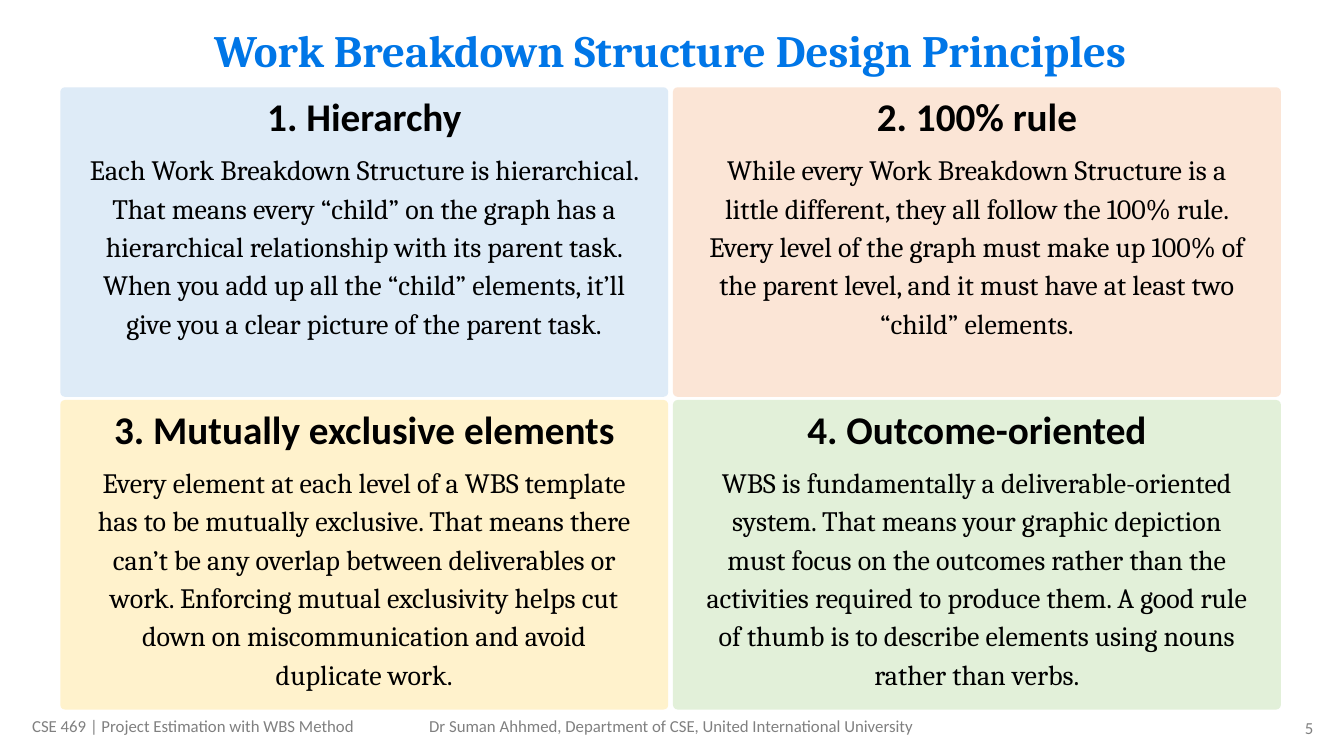
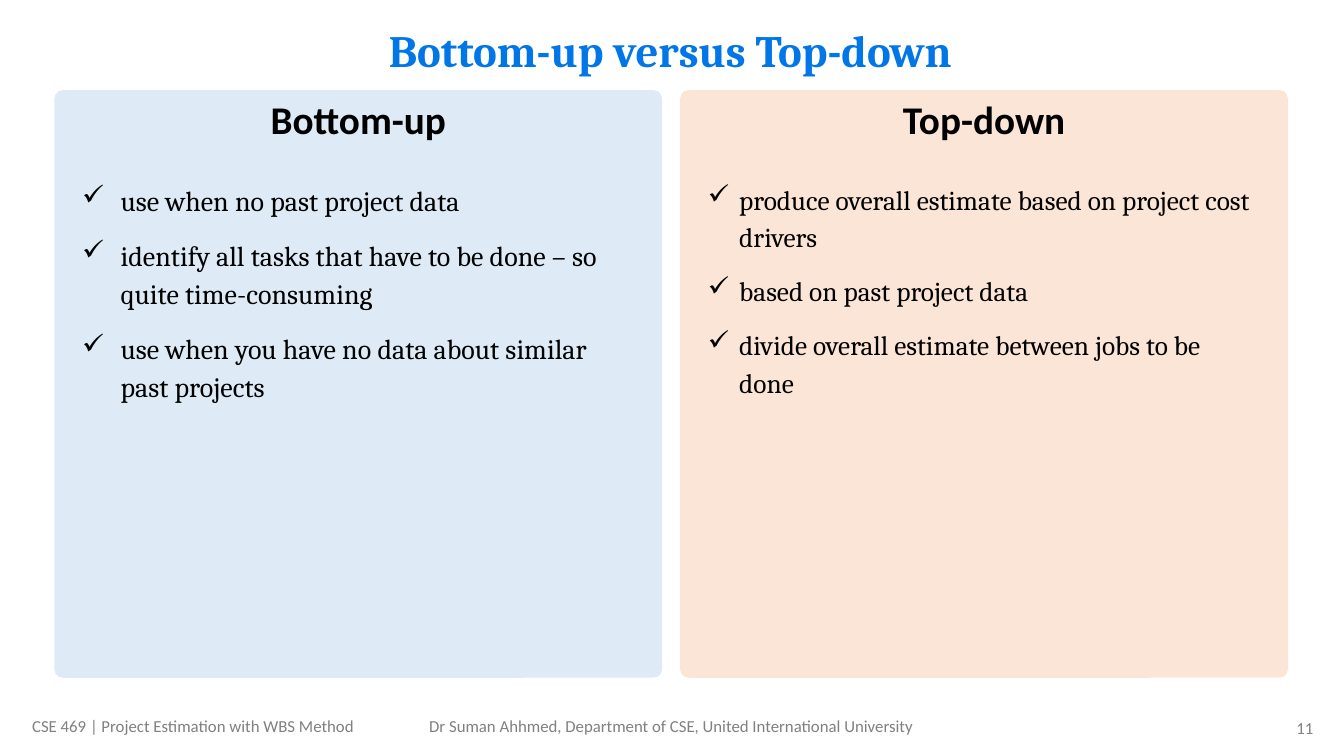
from lxml import etree
from pptx import Presentation
from pptx import util as u
from pptx.dml.color import RGBColor
from pptx.enum import shapes, text
from pptx.oxml import ns

COLORS = {
    "title": "0076E7", "ink": "000000", "footer": "808080",
    "blue": "DEEBF7", "orange": "FBE5D6", "yellow": "FFF2CC", "green": "E2F0D9",
}
HEADING_FONT, BODY_FONT = "Calibri", "Cambria"
LEFT, CENTER, RIGHT = text.PP_ALIGN.LEFT, text.PP_ALIGN.CENTER, text.PP_ALIGN.RIGHT
TOP, MIDDLE = text.MSO_ANCHOR.TOP, text.MSO_ANCHOR.MIDDLE
CARD_WIDTH, CARD_INSET, HEADING_HEIGHT = 15.32, 0.45, 1.42


class Deck:
    def __init__(self):
        self.prs = Presentation()
        self.prs.slide_width, self.prs.slide_height = u.Cm(33.87), u.Cm(19.05)
        self.slide = None

    def start(self, title, number):
        self.slide = self.prs.slides.add_slide(self.prs.slide_layouts[6])
        self.add_lines((1.37, 0.43, 31.06, 1.83), [title], 32, BODY_FONT, "title",
                       bold=True, spacing=0.9)
        footers = [
            ("Dr Suman Ahhmed, Department of CSE, United International University",
             (9.12, 17.91, 15.6, 0.76), CENTER),
            (str(number), (30.51, 17.96, 2.84, 0.76), RIGHT),
            ("CSE 469 | Project Estimation with WBS Method",
             (0.56, 17.91, 10.39, 0.76), LEFT),
        ]
        for footer, box, align in footers:
            self.add_lines(box, [footer], 12, HEADING_FONT, "footer", align)

    def add_lines(self, box, lines, size, font, color, align=CENTER, anchor=MIDDLE,
                  bold=False, spacing=1.0, gap=0, indent=0):
        frame = self.slide.shapes.add_textbox(*map(u.Cm, box)).text_frame
        frame.word_wrap = True
        frame.vertical_anchor = anchor
        for index, line in enumerate(lines):
            para = frame.add_paragraph() if index else frame.paragraphs[0]
            para.alignment = align
            para.line_spacing = spacing
            para.space_before = para.space_after = u.Pt(gap)
            if indent:
                self.add_check(para, indent)
            run = para.add_run()
            run.text = line
            run.font.size = u.Pt(size)
            run.font.name = font
            run.font.bold = bold
            run.font.color.rgb = RGBColor.from_string(COLORS[color])

    def add_check(self, para, indent):
        props = para._p.get_or_add_pPr()
        props.set("marL", str(u.Cm(indent)))
        props.set("indent", str(-u.Cm(indent)))
        tint = etree.SubElement(props, ns.qn("a:buClr"))
        etree.SubElement(tint, ns.qn("a:srgbClr")).set("val", COLORS["ink"])
        etree.SubElement(props, ns.qn("a:buChar")).set("char", "✓")

    def add_card(self, left, top, height, color, heading, lines, body_offset,
                 align=CENTER, size=20, indent=0):
        panel = self.slide.shapes.add_shape(
            shapes.MSO_SHAPE.ROUNDED_RECTANGLE,
            *map(u.Cm, (left, top, CARD_WIDTH, height)))
        panel.adjustments[0] = 0.015
        panel.shadow.inherit = False
        panel.fill.solid()
        panel.fill.fore_color.rgb = RGBColor.from_string(COLORS[color])
        panel.line.fill.background()
        inner_left, inner_width = left + CARD_INSET, CARD_WIDTH - 2 * CARD_INSET
        self.add_lines((inner_left, top + 0.02, inner_width, HEADING_HEIGHT), [heading],
                       28, HEADING_FONT, "ink", bold=True)
        self.add_lines((inner_left, top + body_offset, inner_width, height - body_offset),
                       lines, size, BODY_FONT, "ink", align, TOP,
                       spacing=1.14, gap=6, indent=indent)


PRINCIPLES = [
    ("blue", "1. Hierarchy",
     "Each Work Breakdown Structure is hierarchical. That means every “child” on the "
     "graph has a hierarchical relationship with its parent task. When you add up all "
     "the “child” elements, it’ll give you a clear picture of the parent task."),
    ("orange", "2. 100% rule",
     "While every Work Breakdown Structure is a little different, they all follow the "
     "100% rule. Every level of the graph must make up 100% of the parent level, and it "
     "must have at least two “child” elements."),
    ("yellow", "3. Mutually exclusive elements",
     "Every element at each level of a WBS template has to be mutually exclusive. That "
     "means there can’t be any overlap between deliverables or work. Enforcing mutual "
     "exclusivity helps cut down on miscommunication and avoid duplicate work."),
    ("green", "4. Outcome-oriented",
     "WBS is fundamentally a deliverable-oriented system. That means your graphic "
     "depiction must focus on the outcomes rather than the activities required to "
     "produce them. A good rule of thumb is to describe elements using nouns rather "
     "than verbs."),
]

APPROACHES = [
    ("blue", "Bottom-up", 20, 0.97, [
        "use when no past project data",
        "identify all tasks that have to be done – so quite time-consuming",
        "use when you have no data about similar past projects"]),
    ("orange", "Top-down", 19.5, 0.79, [
        "produce overall estimate based on project cost drivers",
        "based on past project data",
        "divide overall estimate between jobs to be done"]),
]


def main():
    deck = Deck()
    deck.start("Work Breakdown Structure Design Principles", 5)
    for index, (color, heading, principle) in enumerate(PRINCIPLES):
        row, column = divmod(index, 2)
        deck.add_card(1.52 + column * 15.44, 2.2 + row * 7.88, 7.8, color, heading,
                      [principle], 1.41)

    deck.start("Bottom-up versus Top-down", 11)
    for column, (color, heading, size, indent, points) in enumerate(APPROACHES):
        deck.add_card(1.37 + column * 15.77, 2.27, 14.81, color, heading, points, 2.1,
                      LEFT, size, indent)
    deck.prs.save("out.pptx")


if __name__ == "__main__":
    main()
